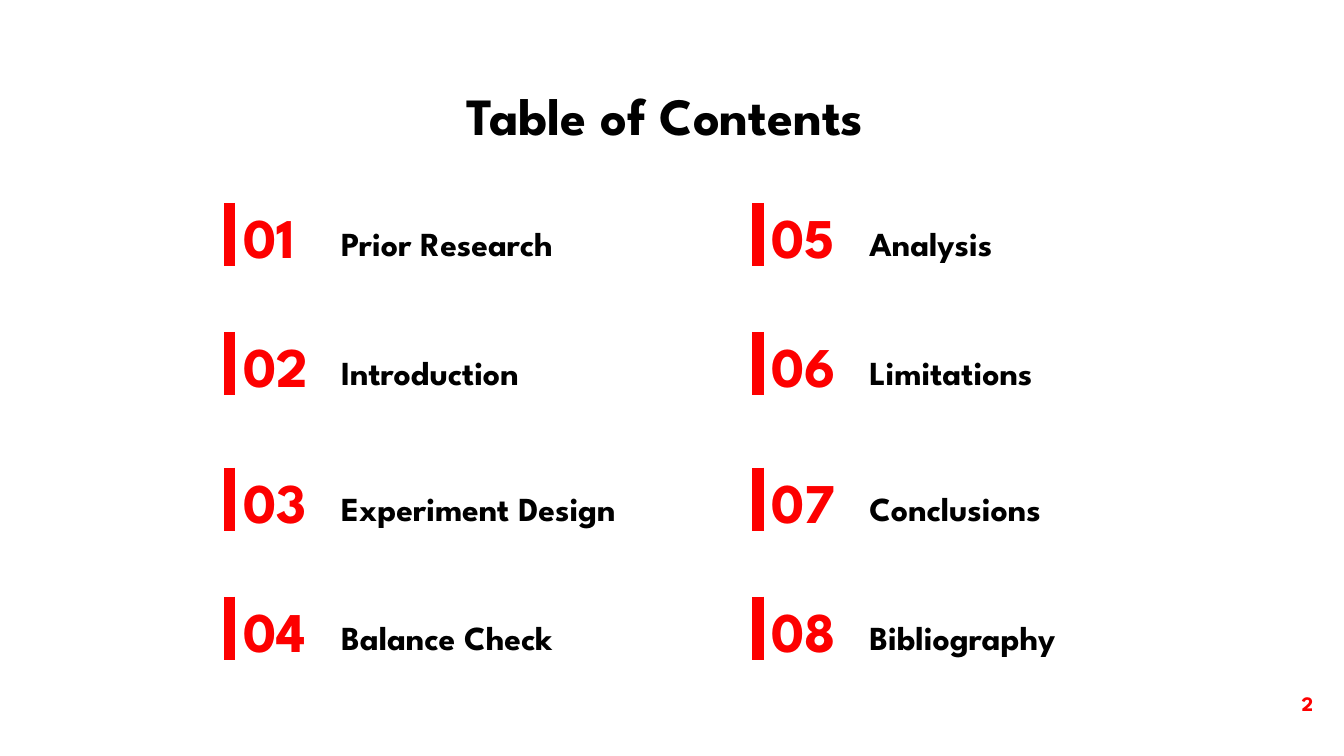
from dataclasses import dataclass

from lxml import etree
from pptx import Presentation, util as u
from pptx.dml.color import RGBColor
from pptx.enum import shapes, text
from pptx.oxml.ns import qn


@dataclass(frozen=True)
class Theme:
    """Colours, type sizes and font of the deck."""
    font: str = "League Spartan"
    ink: RGBColor = RGBColor(0, 0, 0)
    accent: RGBColor = RGBColor(0xFD, 0, 0)
    title: int = 28
    number: int = 30
    label: int = 18
    footer: int = 11
    bar: int = 6


THEME = Theme()
TOPICS = [
    "Prior Research", "Introduction", "Experiment Design", "Balance Check",
    "Analysis", "Limitations", "Conclusions", "Bibliography",
]
ROW_TOPS = [0, 0.96, 1.97, 2.93]
COLUMN_PITCH = 3.93


def add_text(page, words, box, size, color=THEME.ink, align=text.PP_ALIGN.LEFT,
             anchor=text.MSO_ANCHOR.TOP, left_inset=0.1):
    """Place one line of bold text in a box of left, top, width, height."""
    frame = page.shapes.add_textbox(*map(u.Inches, box)).text_frame
    frame.word_wrap = True
    frame.vertical_anchor = anchor
    frame.margin_left = u.Inches(left_inset)
    frame.margin_top = frame.margin_right = frame.margin_bottom = u.Inches(0.1)
    para = frame.paragraphs[0]
    para.alignment = align
    span = para.add_run()
    span.text = words
    span.font.name = THEME.font
    span.font.size = u.Pt(size)
    span.font.bold = True
    span.font.color.rgb = color


def add_bar(page, x, top, bottom):
    """Draw a thick vertical accent line."""
    bar = page.shapes.add_connector(
        shapes.MSO_CONNECTOR.STRAIGHT, *map(u.Inches, (x, top, x, bottom)))
    bar.line.color.rgb = THEME.accent
    bar.line.width = u.Pt(THEME.bar)
    etree.SubElement(bar._element.spPr, qn("a:effectLst"))


def add_entry(page, number, topic, left, top):
    """Place a bar, a number and a topic from the entry's top left corner."""
    add_text(page, topic, (left + 0.73, top + 0.07, 3.24, 0.58), THEME.label,
             anchor=text.MSO_ANCHOR.BOTTOM)
    add_text(page, f"{number:02d}", (left + 0.1, top, 0.63, 0.65), THEME.number,
             color=THEME.accent, left_inset=0)
    add_bar(page, left, top + 0.1, top + 0.57)


def add_contents(page, left, top):
    """Fill the columns of the contents list from top to bottom."""
    for index, topic in enumerate(TOPICS):
        column, row = divmod(index, len(ROW_TOPS))
        add_entry(page, index + 1, topic, left + column * COLUMN_PITCH,
                  top + ROW_TOPS[row])


def main():
    """Build and save the contents slide."""
    deck = Presentation()
    deck.slide_width = u.Inches(10)
    deck.slide_height = deck.slide_width * 9 // 16
    page = deck.slides.add_slide(deck.slide_layouts[6])
    add_text(page, "2", (9.23, 5.05, 0.64, 0.43), THEME.footer,
             color=THEME.accent, align=text.PP_ALIGN.RIGHT)
    add_text(page, "Table of Contents ", (1.61, 0.52, 6.78, 0.63), THEME.title,
             align=text.PP_ALIGN.CENTER)
    add_contents(page, 1.71, 1.41)
    deck.save("out.pptx")


if __name__ == "__main__":
    main()
